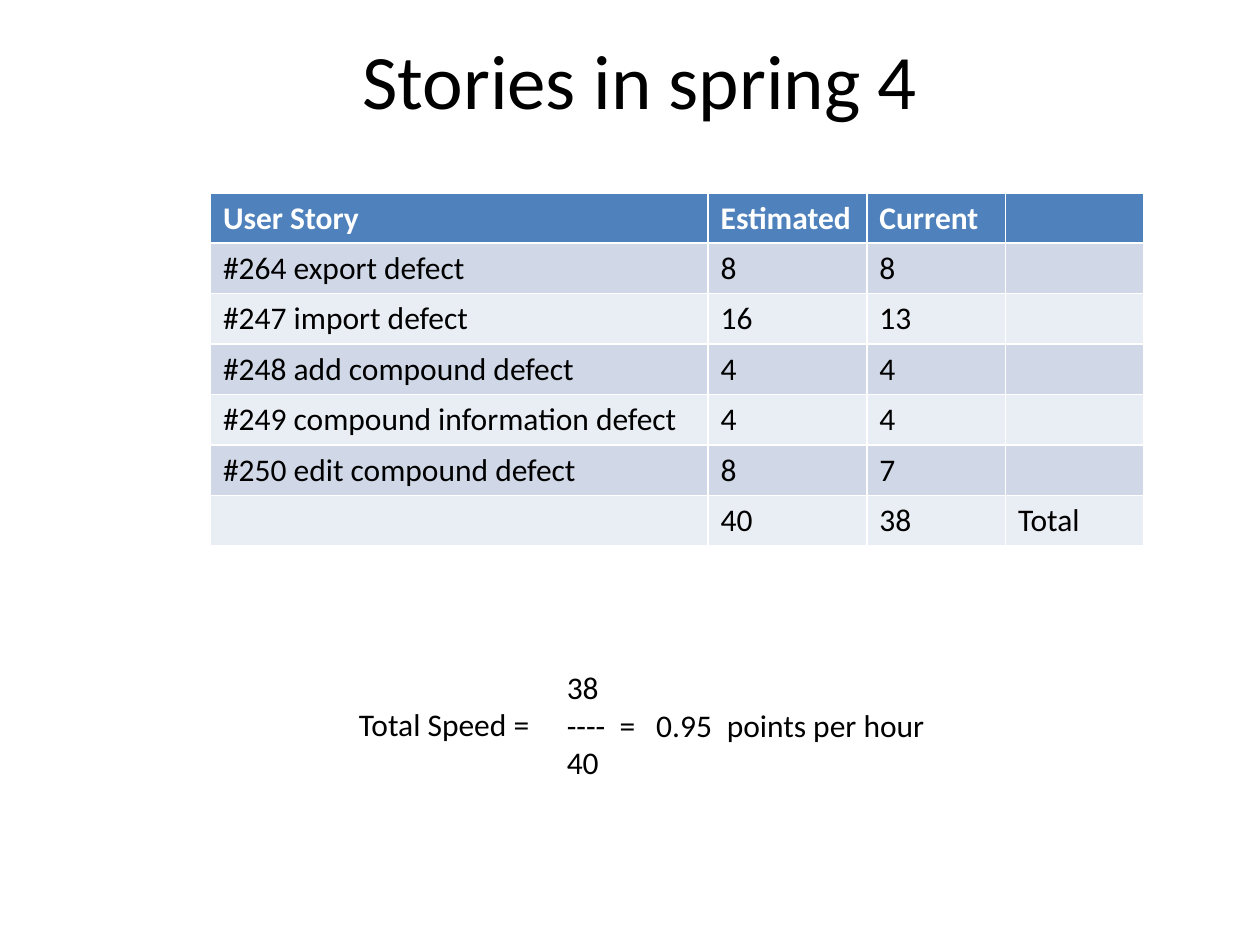
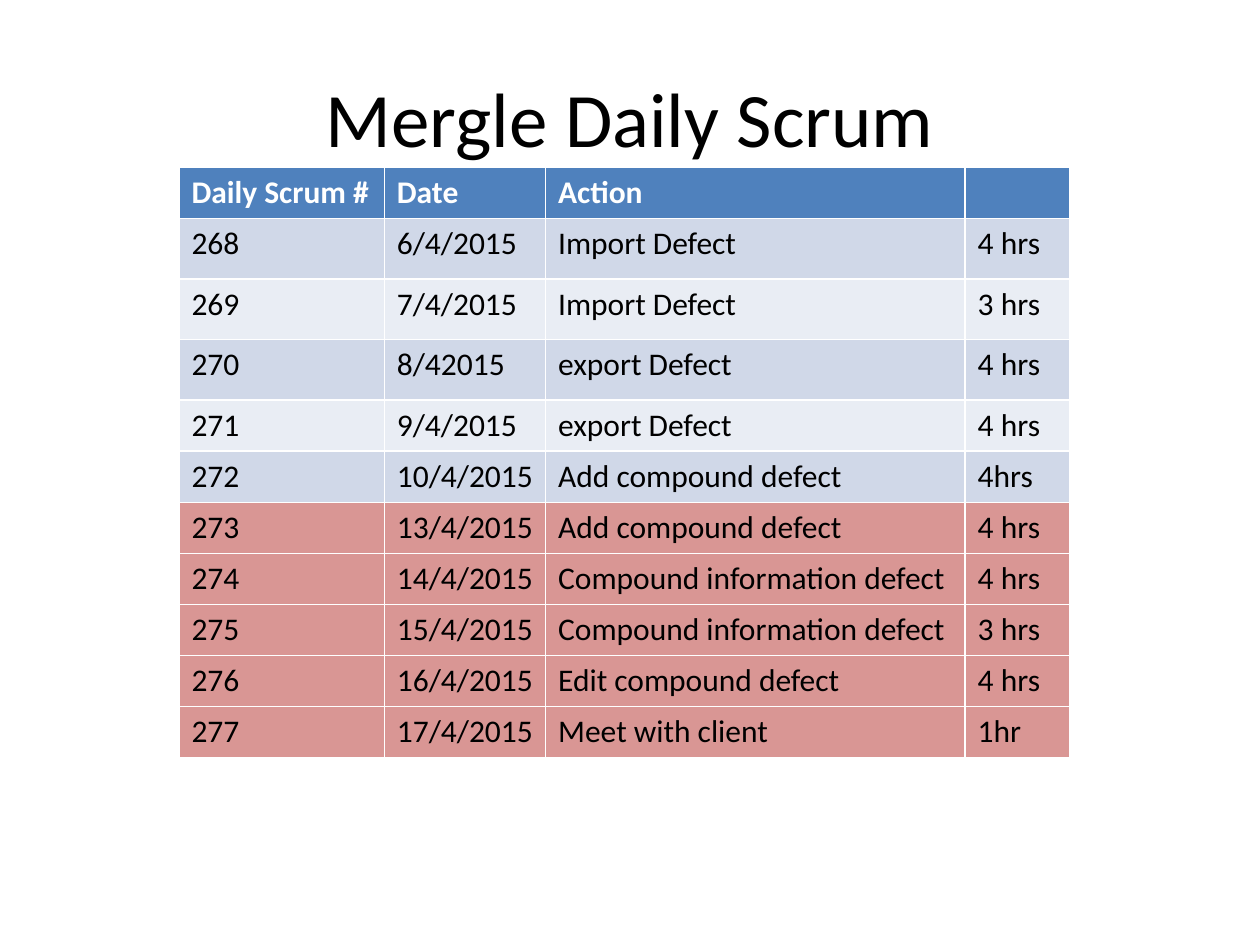
from lxml import etree
from pptx import Presentation
from pptx import util as u
from pptx.dml.color import RGBColor
from pptx.enum import text
from pptx.oxml import ns

COLORS = {
    "ink": "000000",
    "header": "4F81BD",
    "header_text": "FFFFFF",
    "odd_band": "D0D8E8",
    "even_band": "E9EDF4",
    "second_week": "D99694",
}
FONT = "Calibri"
SLIDE_SIZE = (10, 7.5)
ROW_HEIGHT = 0.4
TITLE_ONLY = 5

STORIES = [
    ("User Story", "Estimated", "Current", ""),
    ("#264 export defect", "8", "8", ""),
    ("#247 import defect", "16", "13", ""),
    ("#248 add compound defect", "4", "4", ""),
    ("#249 compound information defect", "4", "4", ""),
    ("#250 edit compound defect", "8", "7", ""),
    ("", "40", "38", "Total"),
]
SCRUMS = [
    ("Daily Scrum #", "Date", "Action", ""),
    ("268", "6/4/2015", "Import Defect", "4 hrs"),
    ("269", "7/4/2015", "Import Defect", "3 hrs"),
    ("270", "8/42015", "export Defect", "4 hrs"),
    ("271", "9/4/2015", "export Defect", "4 hrs"),
    ("272", "10/4/2015", "Add compound defect", "4hrs"),
    ("273", "13/4/2015", "Add compound defect", "4 hrs"),
    ("274", "14/4/2015", "Compound information defect", "4 hrs"),
    ("275", "15/4/2015", "Compound information defect", "3 hrs"),
    ("276", "16/4/2015", "Edit compound defect", "4 hrs"),
    ("277", "17/4/2015", "Meet with client", "1hr"),
]


def write(frame, words, size=18, color="ink", bold=False, align=None):
    """Fill a text frame; a vertical tab in the words breaks the line."""
    paragraph = frame.paragraphs[0]
    paragraph.text = words
    paragraph.alignment = align
    for run in paragraph.runs:
        run.font.name = FONT
        run.font.size = u.Pt(size)
        run.font.bold = bold
        run.font.color.rgb = RGBColor.from_string(COLORS[color])
    return paragraph


def place(shape, left, top, width, height):
    shape.left, shape.top = u.Inches(left), u.Inches(top)
    shape.width, shape.height = u.Inches(width), u.Inches(height)


def add_titled_slide(deck, title, left, top):
    slide = deck.slides.add_slide(deck.slide_layouts[TITLE_ONLY])
    place(slide.shapes.title, left, top, 0.9 * SLIDE_SIZE[0], SLIDE_SIZE[1] / 6)
    frame = slide.shapes.title.text_frame
    frame.vertical_anchor = text.MSO_ANCHOR.MIDDLE
    write(frame, title, size=44, align=text.PP_ALIGN.CENTER)
    return slide


def add_label(slide, words, left, top, width, height, tab_stops=()):
    box = slide.shapes.add_textbox(*map(u.Inches, (left, top, width, height)))
    box.text_frame.word_wrap = True
    paragraph = write(box.text_frame, words)
    if tab_stops:
        tabs = etree.SubElement(paragraph._p.get_or_add_pPr(), ns.qn("a:tabLst"))
        for stop in tab_stops:
            etree.SubElement(tabs, ns.qn("a:tab"), pos=str(u.Inches(stop)), algn="l")


def row_fill(row, marked_from):
    if row == 0:
        return "header"
    if marked_from and row >= marked_from:
        return "second_week"
    return "odd_band" if row % 2 else "even_band"


def add_grid(slide, records, left, top, columns, tall_rows=(), marked_from=None):
    """Add a table whose rows from marked_from on carry the second week's colour."""
    heights = [0.48 if row in tall_rows else ROW_HEIGHT for row in range(len(records))]
    table = slide.shapes.add_table(
        len(records), len(columns),
        *map(u.Inches, (left, top, sum(columns), sum(heights)))).table
    for column, width in zip(table.columns, columns):
        column.width = u.Inches(width)
    for row, (record, height) in enumerate(zip(records, heights)):
        table.rows[row].height = u.Inches(height)
        for column, words in enumerate(record):
            cell = table.cell(row, column)
            cell.fill.solid()
            cell.fill.fore_color.rgb = RGBColor.from_string(
                COLORS[row_fill(row, marked_from)])
            write(cell.text_frame, words, bold=row == 0,
                  color="ink" if row else "header_text")


def main():
    deck = Presentation()
    deck.slide_width, deck.slide_height = map(u.Inches, SLIDE_SIZE)

    stories = add_titled_slide(deck, "Stories in spring 4", 0.58, 0)
    add_label(stories, "38\v----\t=\t0.95\tpoints per hour\v40", 4.4, 5.25, 3.2, 1.01,
              tab_stops=(0.42, 0.71, 1.27))
    add_grid(stories, STORIES, 1.67, 1.53, (3.95, 1.26, 1.1, 1.1))
    add_label(stories, "Total Speed =", 2.75, 5.55, 1.65, 0.4)

    scrums = add_titled_slide(deck, "Mergle Daily Scrum", 0.5, 0.3)
    add_grid(scrums, SCRUMS, 1.42, 1.33, (1.63, 1.28, 3.33, 0.83),
             tall_rows=(1, 2, 3), marked_from=6)

    deck.save("out.pptx")


if __name__ == "__main__":
    main()
